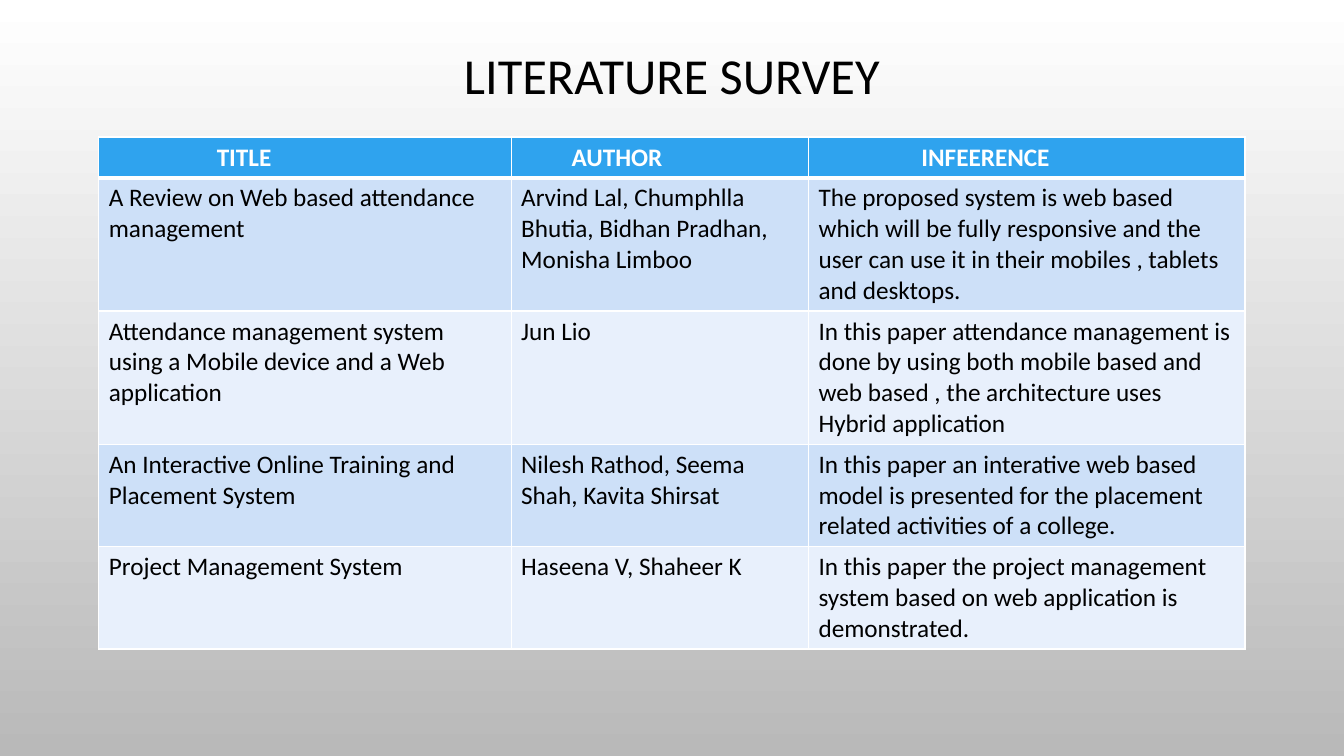
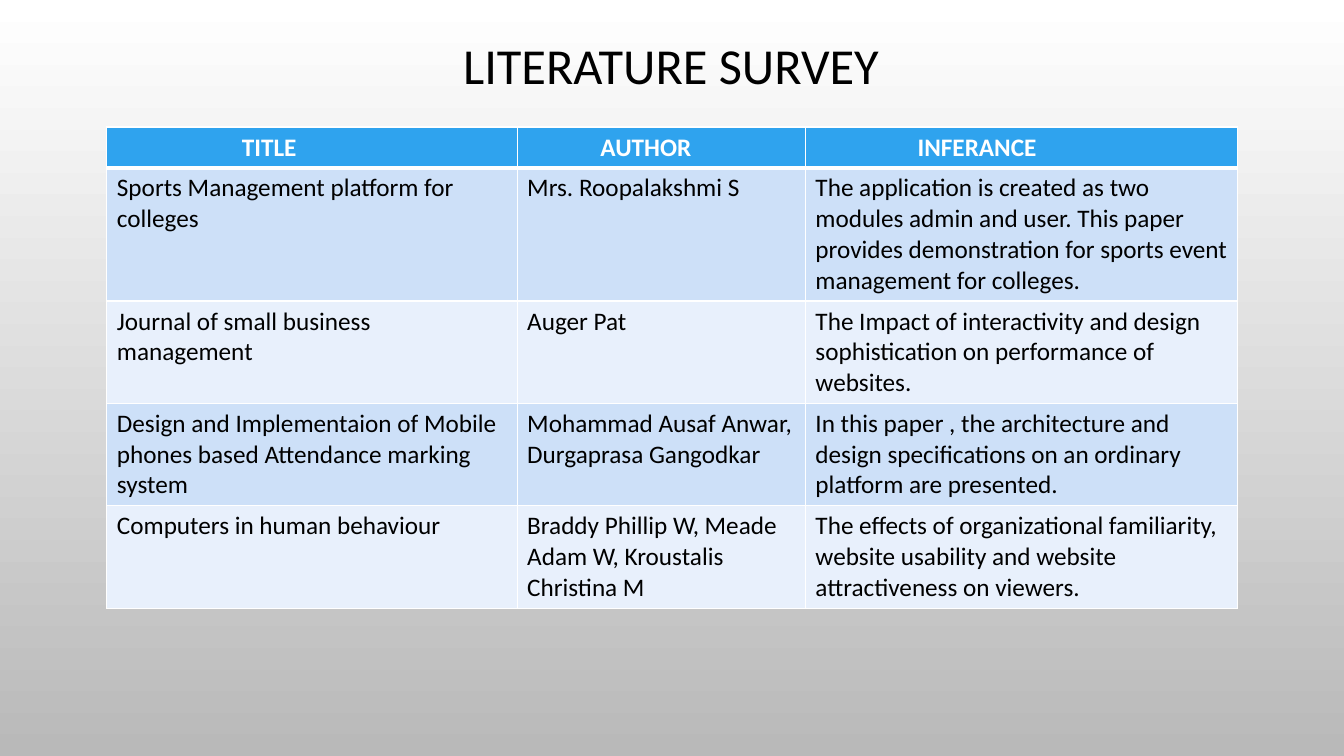
import pptx
import pptx.dml.color
import pptx.enum.text
import pptx.oxml
import pptx.oxml.ns
import pptx.util

COLORS = {"ink": "000000", "white": "FFFFFF", "grey": "B9B9B9",
          "head": "2FA3EE", "odd": "CDE0F8", "even": "E8F0FC"}
FONT = "Calibri"

deck = pptx.Presentation()
deck.slide_width = pptx.util.Inches(13.33)
deck.slide_height = pptx.util.Inches(7.5)
COL = deck.slide_width / 100
ROW = deck.slide_height / 100


def write(text, frame, size=18, color="ink", bold=False, align=None, spacing=None):
    frame.text = text
    para = frame.paragraphs[0]
    para.alignment = align
    para.line_spacing = spacing
    font = para.runs[0].font
    font.name = FONT
    font.size = pptx.util.Pt(size)
    font.bold = bold
    font.color.rgb = pptx.dml.color.RGBColor.from_string(COLORS[color])


def border(cell, side, points):
    cell._tc.get_or_add_tcPr().append(pptx.oxml.parse_xml(
        f'<a:ln{side} {pptx.oxml.ns.nsdecls("a")} w="{pptx.util.Pt(points)}">'
        f'<a:solidFill><a:srgbClr val="{COLORS["white"]}"/></a:solidFill></a:ln{side}>'))


back = deck.slide_master.background.fill
back.gradient()
back.gradient_angle = 270
for stop, color in zip(back.gradient_stops, ("white", "grey")):
    stop.color.rgb = pptx.dml.color.RGBColor.from_string(COLORS[color])

PAGES = [
    {
        "title": (7.5, -1.33),
        "table": (7.35, 18.13),
        "widths": (30.68, 22.13, 32.48),
        "indents": (8.78, 4.5, 8.4),
        "lines": (1, 4, 4, 3, 3),
        "rows": [
            ("TITLE", "AUTHOR", "INFEERENCE"),
            ("A Review on Web based attendance management",
             "Arvind Lal, Chumphlla Bhutia, Bidhan Pradhan, Monisha Limboo",
             "The proposed system is web based which will be fully responsive and "
             "the user can use it in their mobiles , tablets and desktops."),
            ("Attendance management system using a Mobile device and a Web application",
             "Jun Lio",
             "In this paper attendance management is done by using both mobile based "
             "and web based , the architecture uses Hybrid application"),
            ("An Interactive Online Training and Placement System",
             "Nilesh Rathod, Seema Shah, Kavita Shirsat",
             "In this paper an interative web based model is presented for the "
             "placement related activities of a college."),
            ("Project Management System",
             "Haseena V, Shaheer K",
             "In this paper the project management system based on web application "
             "is demonstrated."),
        ],
    },
    {
        "title": (7.43, -2.67),
        "table": (7.95, 16.8),
        "widths": (30.53, 21.45, 32.18),
        "indents": (10.05, 6.2, 8.35),
        "lines": (1, 4, 3, 3, 3),
        "rows": [
            ("TITLE", "AUTHOR", "INFERANCE"),
            ("Sports Management platform for colleges",
             "Mrs. Roopalakshmi S",
             "The application is created as two modules admin and user. This paper "
             "provides demonstration for sports event management for colleges."),
            ("Journal of small business management",
             "Auger Pat",
             "The Impact of interactivity and design sophistication on performance "
             "of websites."),
            ("Design and Implementaion of Mobile phones based Attendance marking system",
             "Mohammad Ausaf Anwar, Durgaprasa Gangodkar",
             "In this paper , the architecture and design specifications on an "
             "ordinary platform are presented."),
            ("Computers in human behaviour",
             "Braddy Phillip W, Meade Adam W, Kroustalis Christina M",
             "The effects of organizational familiarity, website usability and "
             "website attractiveness on viewers."),
        ],
    },
]

for page in PAGES:
    slide = deck.slides.add_slide(deck.slide_layouts[5])
    title = slide.shapes.title
    left, top = page["title"]
    title.left, title.top = int(left * COL), int(top * ROW)
    title.width, title.height = int(85 * COL), int(23.33 * ROW)
    title.text_frame.vertical_anchor = pptx.enum.text.MSO_ANCHOR.MIDDLE
    write("LITERATURE SURVEY", title.text_frame, size=36,
          align=pptx.enum.text.PP_ALIGN.CENTER, spacing=0.9)

    left, top = page["table"]
    heights = [int((1 + 4 * count) * ROW) for count in page["lines"]]
    grid = slide.shapes.add_table(
        len(heights), len(page["widths"]), int(left * COL), int(top * ROW),
        int(sum(page["widths"]) * COL), sum(heights)).table
    for column, width in zip(grid.columns, page["widths"]):
        column.width = int(width * COL)
    for r, texts in enumerate(page["rows"]):
        grid.rows[r].height = heights[r]
        head = r == 0
        shade = "head" if head else "odd" if r % 2 else "even"
        for c, text in enumerate(texts):
            cell = grid.cell(r, c)
            write(text, cell.text_frame, color="white" if head else "ink", bold=head)
            if head:
                cell.margin_left = int(page["indents"][c] * COL)
            for side, points in (("L", 1), ("R", 1), ("T", 3 if r == 1 else 1),
                                 ("B", 3 if head else 1)):
                border(cell, side, points)
            cell.fill.solid()
            cell.fill.fore_color.rgb = pptx.dml.color.RGBColor.from_string(COLORS[shade])

deck.save("out.pptx")
